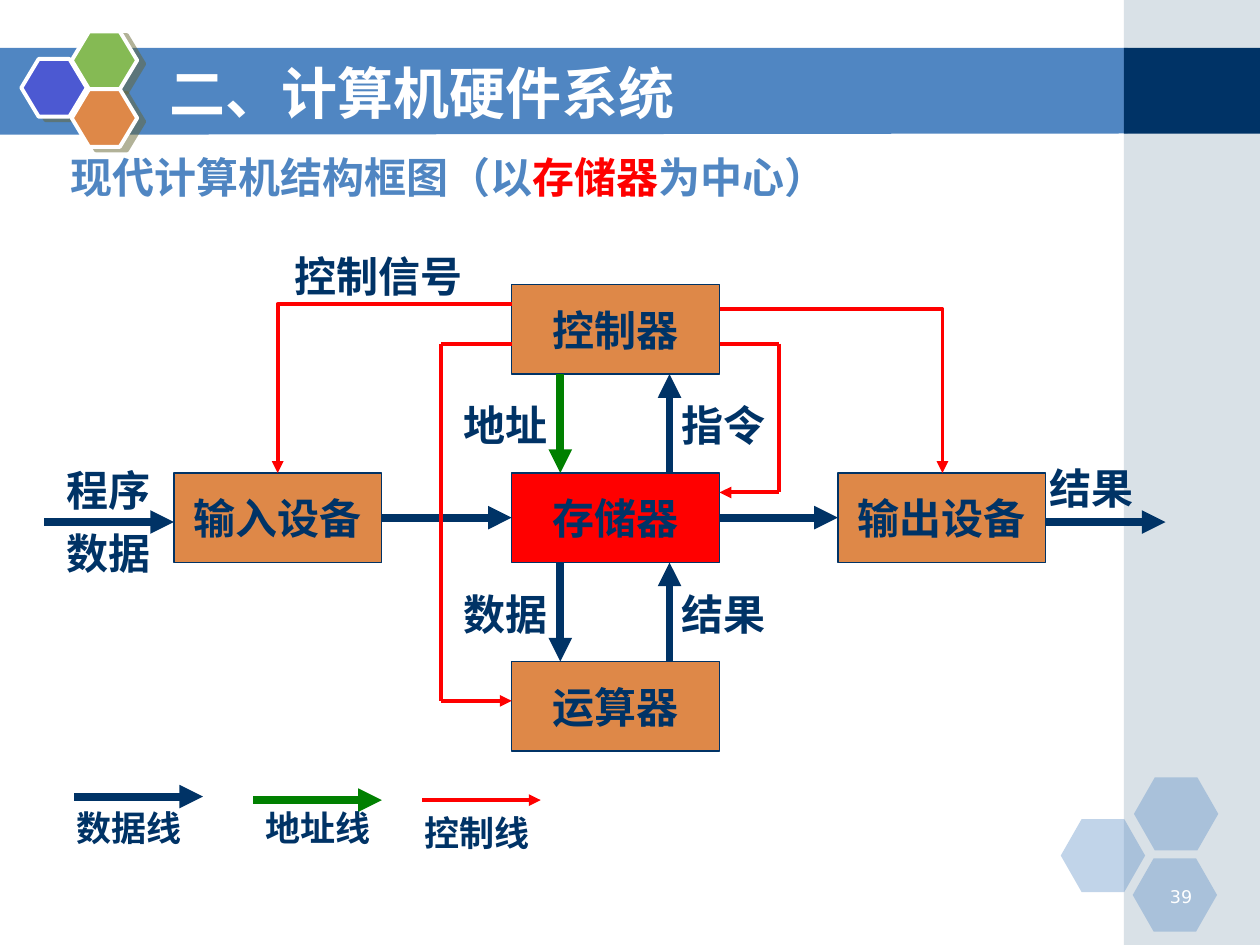
from lxml import etree
from pptx import Presentation
from pptx.dml.color import RGBColor
from pptx.enum import shapes, text
from pptx.oxml.ns import qn
from pptx.util import Pt

NAVY, BLUE, ORANGE = "003366", "5086C2", "DE8848"
RED, GREEN, WHITE = "FF0000", "008000", "FFFFFF"
SERIF, SANS = "Times New Roman", "Noto Sans CJK SC"
RECT, HEXAGON = shapes.MSO_SHAPE.RECTANGLE, shapes.MSO_SHAPE.HEXAGON

BOX_W, BOX_H = 118.8, 51.2
COLS = (99.4, 292.4, 478.8)
ROWS = (162.6, 270.3, 378)
LEFT, RIGHT = COLS[1], COLS[1] + BOX_W


def rgb(value):
    return RGBColor.from_string(value)


def sub(parent, tag, **attrs):
    return etree.SubElement(parent, qn(tag), attrs)


def paint(sp, fill, line=None, width=0.75, alpha=None):
    sp.shadow.inherit = False
    sp.fill.solid()
    sp.fill.fore_color.rgb = rgb(fill)
    if alpha:
        color = sp.fill._xPr.find(".//" + qn("a:srgbClr"))
        sub(color, "a:alpha", val=str(alpha * 1000))
    if line:
        sp.line.color.rgb = rgb(line)
        sp.line.width = Pt(width)
    else:
        sp.line.fill.background()


def add_shape(slide, kind, x, y, w, h, fill, **style):
    sp = slide.shapes.add_shape(kind, Pt(x), Pt(y), Pt(w), Pt(h))
    paint(sp, fill, **style)
    return sp


def add_hexagon(slide, x, y, w, h, adj, fill, **style):
    sp = add_shape(slide, HEXAGON, x, y, w, h, fill, **style)
    sp.adjustments[0] = adj
    return sp


def cast_shadow(sp):
    effects = sp._element.spPr.find(qn("a:effectLst"))
    shadow = sub(effects, "a:outerShdw", dist=str(Pt(4.5)),
                 dir=str(27 * 60000), algn="ctr", rotWithShape="0")
    color = sub(shadow, "a:srgbClr", val="666633")
    sub(color, "a:alpha", val="50000")


def write(sp, runs, size, color, font=SERIF, bold=True,
          align=text.PP_ALIGN.LEFT, anchor=text.MSO_ANCHOR.TOP, wrap=True):
    """Fill one paragraph from (wording, colour or None) pairs."""
    tf = sp.text_frame
    tf.word_wrap = wrap
    tf.vertical_anchor = anchor
    p = tf.paragraphs[0]
    p.alignment = align
    p.font.name, p.font.size, p.font.bold = font, Pt(size), bold
    p.font.color.rgb = rgb(color)
    for wording, run_color in runs:
        r = p.add_run()
        r.text = wording
        if run_color:
            r.font.color.rgb = rgb(run_color)


def add_text(slide, x, y, w, h, runs, size=24, color=NAVY, **style):
    sp = slide.shapes.add_textbox(Pt(x), Pt(y), Pt(w), Pt(h))
    if isinstance(runs, str):
        runs = [(runs, None)]
    write(sp, runs, size, color, **style)


def add_box(slide, col, row, name, fill=ORANGE):
    sp = add_shape(slide, RECT, COLS[col], ROWS[row], BOX_W, BOX_H, fill, line=NAVY)
    write(sp, [(name, None)], 24, NAVY, align=text.PP_ALIGN.CENTER,
          anchor=text.MSO_ANCHOR.MIDDLE, wrap=False)


def add_line(slide, start, end, color=NAVY, width=4.5, arrow=True, bent=False):
    kind = shapes.MSO_CONNECTOR.ELBOW if bent else shapes.MSO_CONNECTOR.STRAIGHT
    sp = slide.shapes.add_connector(kind, *map(Pt, start + end))
    sp.line.color.rgb = rgb(color)
    sp.line.width = Pt(width)
    spPr = sp._element.spPr
    if bent:
        spPr.find(qn("a:prstGeom")).set("prst", "bentConnector2")
    if arrow:
        sub(spPr.find(qn("a:ln")), "a:tailEnd", type="triangle")
    sub(spPr, "a:effectLst")


def add_control_route(slide, points):
    """Red segments through the points, with an arrowhead on the last."""
    last = len(points) - 2
    for i, (start, end) in enumerate(zip(points, points[1:])):
        add_line(slide, start, end, RED, 2.25, arrow=i == last)


def add_background(slide):
    band = slide.shapes.build_freeform(Pt(-0.7), Pt(27.4))
    band.add_line_segments([(Pt(x), Pt(y)) for x, y in
                            ((644.4, 27.4), (644.4, 76.3), (-0.7, 77))])
    paint(band.convert_to_shape(), BLUE)
    add_shape(slide, RECT, 642.2, 0, 77.8, 540, "A0B5C4", alpha=40)
    add_shape(slide, RECT, 642.2, 27.4, 77.8, 49, NAVY)
    for x, y in ((606.2, 468), (648, 444.2), (647.3, 490.5)):
        add_hexagon(slide, x, y, 48.2, 41.8, 0.286, BLUE, alpha=35)
    for x, y, fill in ((12.2, 33.7, "4C59D2"), (41, 18, "85BA54"), (41, 51, ORANGE)):
        cast_shadow(add_hexagon(slide, x, y, 37.4, 33, 0.3, fill,
                                line=WHITE, width=2.25))


def add_headings(slide):
    add_text(slide, 652.3, 502.6, 36, 18, "39", 10, WHITE, font="DejaVu Sans",
             bold=False, align=text.PP_ALIGN.RIGHT)
    add_text(slide, 90, 30.2, 527.8, 44.6, "二、计算机硬件系统", 32, WHITE,
             font=SANS, anchor=text.MSO_ANCHOR.MIDDLE)
    add_text(slide, 33.1, 82.8, 607, 39.6,
             [("现代计算机结构框图（以", None), ("存储器", RED), ("为中心）", None)],
             color=BLUE, font=SANS)


def add_diagram(slide):
    add_box(slide, 0, 1, "输入设备")
    add_box(slide, 2, 1, "输出设备")
    add_box(slide, 1, 1, "存储器", RED)
    add_box(slide, 1, 0, "控制器")
    add_box(slide, 1, 2, "运算器")

    for x1, x2, y in ((COLS[0] + BOX_W, LEFT, 295.8), (RIGHT, COLS[2], 295.8),
                      (25.4, COLS[0], 298.3), (COLS[2] + BOX_W, 666, 298.3)):
        add_line(slide, (x1, y), (x2, y))
    down, up = 320.2, 382.6
    for upper, lower, color in ((ROWS[0], ROWS[1], GREEN), (ROWS[1], ROWS[2], NAVY)):
        add_line(slide, (up, lower), (up, upper + BOX_H))
        add_line(slide, (down, upper + BOX_H), (down, lower), color)

    add_line(slide, (RIGHT, 176.6), (538.6, ROWS[1]), RED, 2.25, bent=True)
    add_line(slide, (LEFT, 173.6), (158.7, ROWS[1]), RED, 2.25, bent=True)
    add_control_route(slide, [(LEFT, 196.4), (252.2, 196.4), (252.2, 400.5), (LEFT, 400.5)])
    add_control_route(slide, [(RIGHT, 196.4), (445, 196.4), (445, 281.4), (RIGHT, 281.4)])

    for x, y, name in ((31, 262, "程序"), (31, 298, "数据"), (592.6, 260.6, "结果"),
                       (257.6, 332.6, "数据"), (382.3, 332.6, "结果"),
                       (257.6, 224.6, "地址"), (382.3, 224.6, "指令")):
        add_text(slide, x, y, 73.4, 36, name)
    add_text(slide, 161.3, 139.7, 118.8, 36, "控制信号")


def add_legend(slide):
    for x1, x2, y, color, width, text_x, text_y, name in (
            (42.5, 116, 455.2, NAVY, 4.5, 36.7, 457.2, "数据线"),
            (144.7, 218.2, 457.2, GREEN, 4.5, 144.7, 457.2, "地址线"),
            (241.2, 309, 457.2, RED, 2.25, 235.4, 460.1, "控制线")):
        add_line(slide, (x1, y), (x2, y), color, width)
        add_text(slide, text_x, text_y, 85, 31, name, 20)


def main():
    prs = Presentation()
    prs.slide_width, prs.slide_height = Pt(720), Pt(540)
    slide = prs.slides.add_slide(prs.slide_layouts[6])
    add_background(slide)
    add_headings(slide)
    add_diagram(slide)
    add_legend(slide)
    prs.save("out.pptx")


if __name__ == "__main__":
    main()
